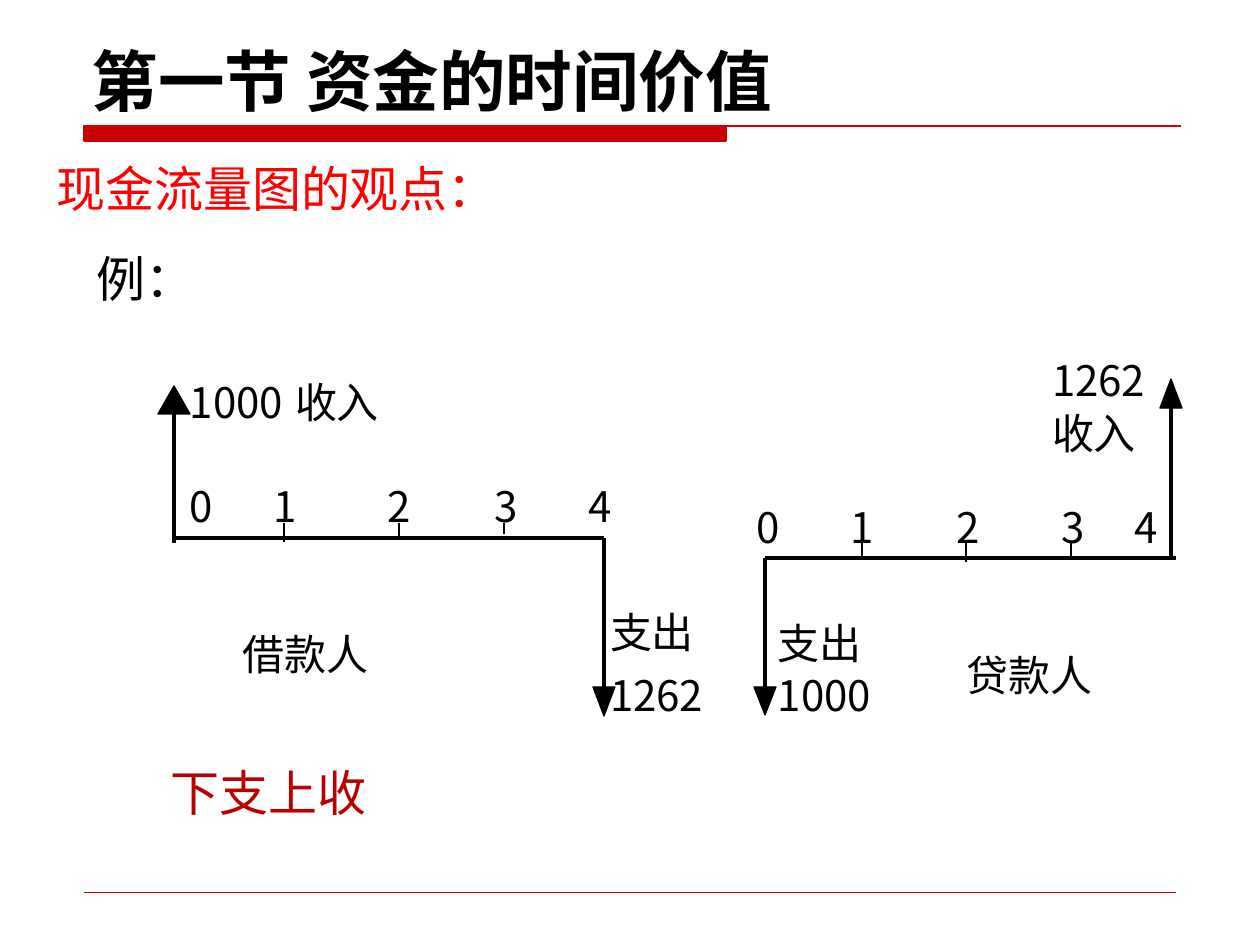
from dataclasses import dataclass

import pptx
import pptx.dml.color
import pptx.enum.shapes
import pptx.enum.text
import pptx.oxml.ns
import pptx.util
from lxml import etree

Align = pptx.enum.text.PP_ALIGN
SCALE = 914400 / 126  # EMU in one px


@dataclass(frozen=True)
class Theme:
    font: str = "Noto Sans CJK SC"
    black: str = "000000"
    rule: str = "CC0000"
    red: str = "FF0000"
    dark: str = "B90000"
    title: int = 38
    body: int = 28
    label: int = 24


@dataclass(frozen=True)
class Label:
    text: str
    x: int
    y: int
    w: int
    h: int
    align: Align = Align.LEFT


@dataclass(frozen=True)
class Arrow:
    x: int
    start: int
    base: int
    tip: int
    half: int  # half the width of the head


@dataclass(frozen=True)
class Flow:
    axis: tuple[int, int, int]  # left, right, y
    ticks: list[tuple[int, int, int]]  # x, top, bottom
    years: list[int]  # left edge of each year label
    top: int  # top edge of the year labels
    arrows: list[Arrow]
    labels: list[Label]


THEME = Theme()


def px(n: int) -> int:
    return round(n * SCALE)


def rgb(code: str) -> pptx.dml.color.RGBColor:
    return pptx.dml.color.RGBColor.from_string(code)


def style(frame, text: str, size: int, color: str, bold: bool = False) -> None:
    frame.word_wrap = True
    frame.text = text
    font = frame.paragraphs[0].runs[0].font
    font.name, font.size, font.bold = THEME.font, pptx.util.Pt(size), bold
    font.color.rgb = rgb(color)
    east = etree.SubElement(font._element, pptx.oxml.ns.qn("a:ea"))
    east.set("typeface", THEME.font)


def write(slide, item: Label, size: int, color: str, inset: int | None = None) -> None:
    box = slide.shapes.add_textbox(px(item.x), px(item.y), px(item.w), px(item.h))
    frame = box.text_frame
    if inset is not None:
        frame.margin_left = frame.margin_right = px(inset)
        frame.margin_top = frame.margin_bottom = px(inset)
    style(frame, item.text, size, color)
    frame.paragraphs[0].alignment = item.align


def line(slide, x1: int, y1: int, x2: int, y2: int,
         width: float = 0, color: str = THEME.black) -> None:
    kind = pptx.enum.shapes.MSO_CONNECTOR.STRAIGHT
    rule = slide.shapes.add_connector(kind, px(x1), px(y1), px(x2), px(y2))
    rule.line.width = pptx.util.Pt(width)
    rule.line.color.rgb = rgb(color)
    etree.SubElement(rule._element.spPr, pptx.oxml.ns.qn("a:effectLst"))


def paint(shape, color: str, width: float) -> None:
    shape.shadow.inherit = False
    shape.fill.solid()
    shape.fill.fore_color.rgb = rgb(color)
    shape.line.color.rgb = rgb(color)
    shape.line.width = pptx.util.Pt(width)


def point(slide, arrow: Arrow) -> None:
    line(slide, arrow.x, arrow.start, arrow.x, arrow.base)
    form = slide.shapes.build_freeform(arrow.x, arrow.tip, scale=SCALE)
    form.add_line_segments([(arrow.x + arrow.half, arrow.base),
                            (arrow.x - arrow.half, arrow.base)], close=True)
    paint(form.convert_to_shape(), THEME.black, 0)


def draw(slide, flow: Flow) -> None:
    left, right, y = flow.axis
    line(slide, left, y, right, y)
    for x, top, low in flow.ticks:
        line(slide, x, top, x, low, 1)
    for arrow in flow.arrows:
        point(slide, arrow)
    years = [Label(str(n), x, flow.top, 38, 62) for n, x in enumerate(flow.years)]
    for item in years + flow.labels:
        write(slide, item, THEME.label, THEME.black, 1)


BORROW = Flow(
    axis=(175, 604, 538),
    ticks=[(284, 523, 542), (399, 523, 539), (504, 523, 534)],
    years=[189, 273, 387, 494, 588],
    top=480,
    arrows=[Arrow(174, 543, 414, 386, 16), Arrow(604, 538, 687, 716, 11)],
    labels=[
        Label("1000", 189, 375, 107, 82),
        Label("收入", 294, 375, 92, 71),
        Label("支出", 609, 606, 105, 83),
        Label("1262", 609, 669, 105, 71),
        Label("借款人", 242, 627, 318, 118),
    ],
)

LEND = Flow(
    axis=(765, 1176, 558),
    ticks=[(862, 543, 556), (966, 543, 562), (1071, 543, 556)],
    years=[756, 850, 956, 1061, 1134],
    top=501,
    arrows=[Arrow(1171, 558, 408, 379, 11), Arrow(765, 558, 687, 715, 11)],
    labels=[
        Label("1262", 1051, 354, 108, 78),
        Label("收入", 1051, 407, 121, 78),
        Label("支出", 777, 617, 88, 63),
        Label("1000", 777, 669, 105, 71),
        Label("贷款人", 893, 649, 273, 87, Align.CENTER),
    ],
)


def main() -> None:
    deck = pptx.Presentation()
    deck.slide_width, deck.slide_height = px(1260), px(945)
    slide = deck.slides.add_slide(deck.slide_layouts[5])

    # Title
    title = slide.shapes.title
    title.left, title.top = px(79), px(0)
    title.width, title.height = px(1102), px(126)
    frame = title.text_frame
    frame.auto_size = pptx.enum.text.MSO_AUTO_SIZE.NONE
    frame.vertical_anchor = pptx.enum.text.MSO_ANCHOR.BOTTOM
    style(frame, "第一节 资金的时间价值", THEME.title, THEME.black, True)
    frame.paragraphs[0].alignment = Align.LEFT

    # Title bar and rules
    bar = slide.shapes.add_shape(pptx.enum.shapes.MSO_SHAPE.RECTANGLE,
                                 px(84), px(126), px(642), px(15))
    paint(bar, THEME.rule, 0.75)
    line(slide, 84, 126, 1181, 126, 0.75, THEME.rule)
    line(slide, 84, 892, 1176, 892, 0.25, THEME.rule)

    # Headings and conclusion
    write(slide, Label("现金流量图的观点：", 44, 152, 525, 73), THEME.body, THEME.red)
    write(slide, Label("例：", 84, 242, 147, 72), THEME.body, THEME.black)
    write(slide, Label("下支上收", 158, 756, 525, 73), THEME.body, THEME.dark)

    # Cash flow of the borrower and of the lender
    for flow in (BORROW, LEND):
        draw(slide, flow)

    deck.save("out.pptx")


if __name__ == "__main__":
    main()
